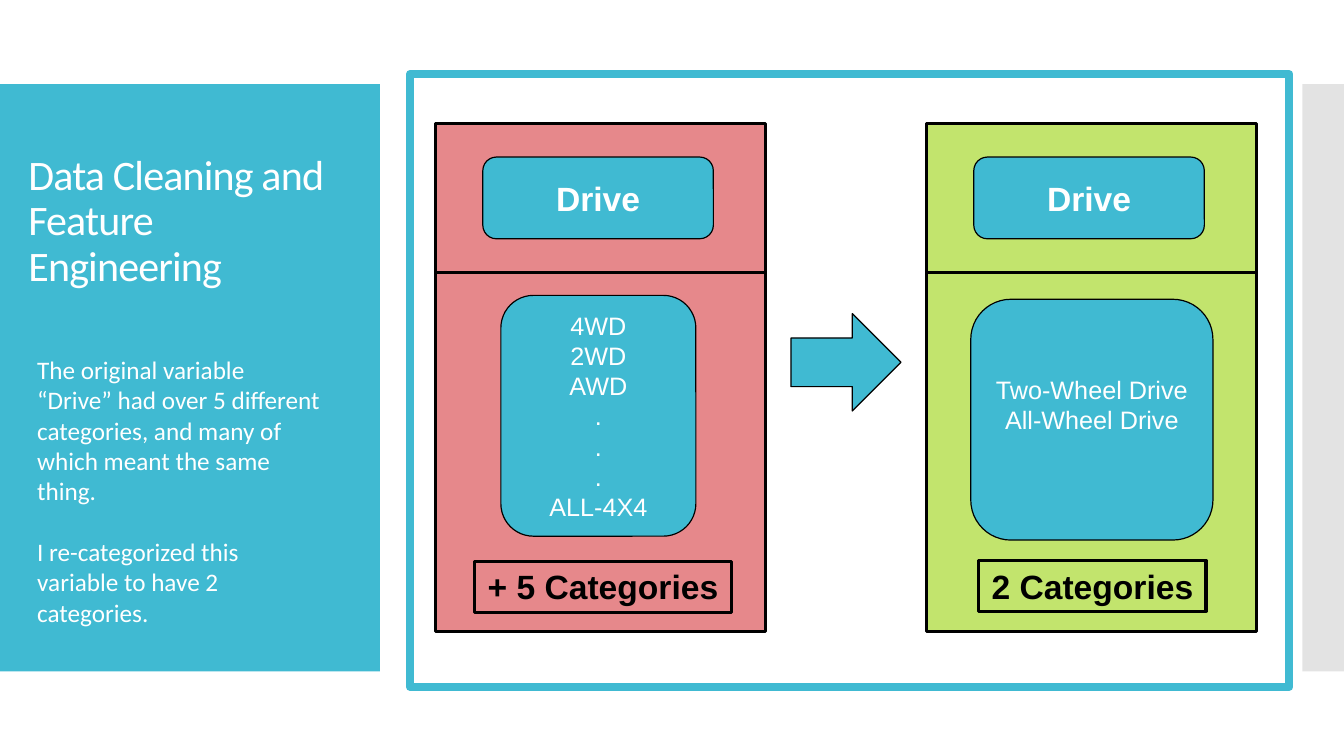
from pptx import Presentation
from pptx.dml.color import RGBColor
from pptx.enum.shapes import MSO_CONNECTOR, MSO_SHAPE
from pptx.enum.text import MSO_ANCHOR, PP_ALIGN
from pptx.oxml.ns import qn
from pptx.util import Pt
from lxml.etree import SubElement

TEAL = RGBColor(0x40, 0xBA, 0xD2)
GREY = RGBColor(0xC8, 0xC8, 0xC8)
RED = RGBColor(0xE6, 0x88, 0x8B)
GREEN = RGBColor(0xC2, 0xE4, 0x6D)
BLACK = RGBColor(0, 0, 0)
WHITE = RGBColor(0xFF, 0xFF, 0xFF)

deck = Presentation()
deck.slide_width, deck.slide_height = Pt(960), Pt(540)
page = deck.slides.add_slide(deck.slide_layouts[6])


def add_box(kind, left, top, width, height, fill=None, line=None, weight=0.85):
    box = page.shapes.add_shape(kind, Pt(left), Pt(top), Pt(width), Pt(height))
    box.shadow.inherit = False
    if fill is None:
        box.fill.background()
    else:
        box.fill.solid()
        box.fill.fore_color.rgb = fill
    if line is None:
        box.line.fill.background()
    else:
        box.line.color.rgb = line
        box.line.width = Pt(weight)
    return box


def write(box, text, size, color, font="Arial", bold=False,
          align=PP_ALIGN.CENTER, anchor=MSO_ANCHOR.MIDDLE):
    frame = box.text_frame
    frame.text = text
    frame.word_wrap = True
    frame.vertical_anchor = anchor
    for para in frame.paragraphs:
        para.alignment = align
        for span in para.runs:
            span.font.size = Pt(size)
            span.font.name = font
            span.font.bold = bold
            span.font.color.rgb = color
    return frame


# Side panels
add_box(MSO_SHAPE.RECTANGLE, 0, 60, 271.3, 419.5, TEAL)
side_strip = add_box(MSO_SHAPE.RECTANGLE, 930.3, 60, 29.7, 419.5, GREY)
strip_color = next(side_strip._element.spPr.iter(qn("a:srgbClr")))
SubElement(strip_color, qn("a:alpha"), val="50000")

# Before and after cards: left, fill, divider top, values, values box, bottom inset, label, label box
cards = [
    (311, RED, 194.4, "4WD\n2WD\nAWD\n.\n.\n.\nALL-4X4", (357.8, 211, 139.3, 172),
     3.6, "+ 5 Categories", (339.1, 401, 183.2, 36.3)),
    (661.7, GREEN, 194.8, "Two-Wheel Drive\nAll-Wheel Drive", (693.4, 213.8, 173, 172),
     25, "2 Categories", (699.1, 400.3, 162.4, 36.3)),
]
for left, fill, divider_top, values, values_at, inset, label, label_at in cards:
    add_box(MSO_SHAPE.RECTANGLE, left, 88.5, 236, 362.5, fill, BLACK, 2.25)
    header = add_box(MSO_SHAPE.ROUNDED_RECTANGLE, left + 33.9, 112.2, 164.7, 58.4, TEAL, BLACK)
    write(header, "Drive", 24, WHITE, bold=True)

    divider = page.shapes.add_connector(MSO_CONNECTOR.STRAIGHT, Pt(left + 0.5), Pt(divider_top),
                                        Pt(left + 236.5), Pt(divider_top))
    divider.line.color.rgb = BLACK
    divider.line.width = Pt(2.25)
    SubElement(divider._element.spPr, qn("a:effectLst"))

    values_box = add_box(MSO_SHAPE.ROUNDED_RECTANGLE, *values_at, TEAL, BLACK)
    write(values_box, values, 18, WHITE).margin_bottom = Pt(inset)

    label_box = add_box(MSO_SHAPE.RECTANGLE, *label_at, None, BLACK, 2.25)
    write(label_box, label, 24, BLACK, bold=True, anchor=MSO_ANCHOR.TOP).word_wrap = False

# Arrow between the cards and frame around them
add_box(MSO_SHAPE.RIGHT_ARROW, 565, 224, 78.6, 69.6, TEAL, BLACK)
add_box(MSO_SHAPE.RECTANGLE, 293, 53, 628, 437.6, None, TEAL, 6)

# Title
title_box = page.shapes.add_textbox(Pt(13.2), Pt(93.6), Pt(232), Pt(130.3))
title = write(title_box, "Data Cleaning and Feature Engineering", 30, WHITE, "Calibri",
              align=PP_ALIGN.LEFT).paragraphs[0]
title.line_spacing = 0.9
title.runs[0].font._element.set("spc", "-60")

# Explanation
story_box = page.shapes.add_textbox(Pt(19.5), Pt(249.6), Pt(219.6), Pt(203.6))
story = write(story_box, "The original variable “Drive” had over 5 different categories, "
              "and many of which meant the same thing.\n"
              "I re-categorized this variable to have 2 categories.",
              18, WHITE, "Calibri", align=PP_ALIGN.LEFT, anchor=MSO_ANCHOR.TOP)
story.paragraphs[1].space_before = Pt(22)

deck.save("out.pptx")
